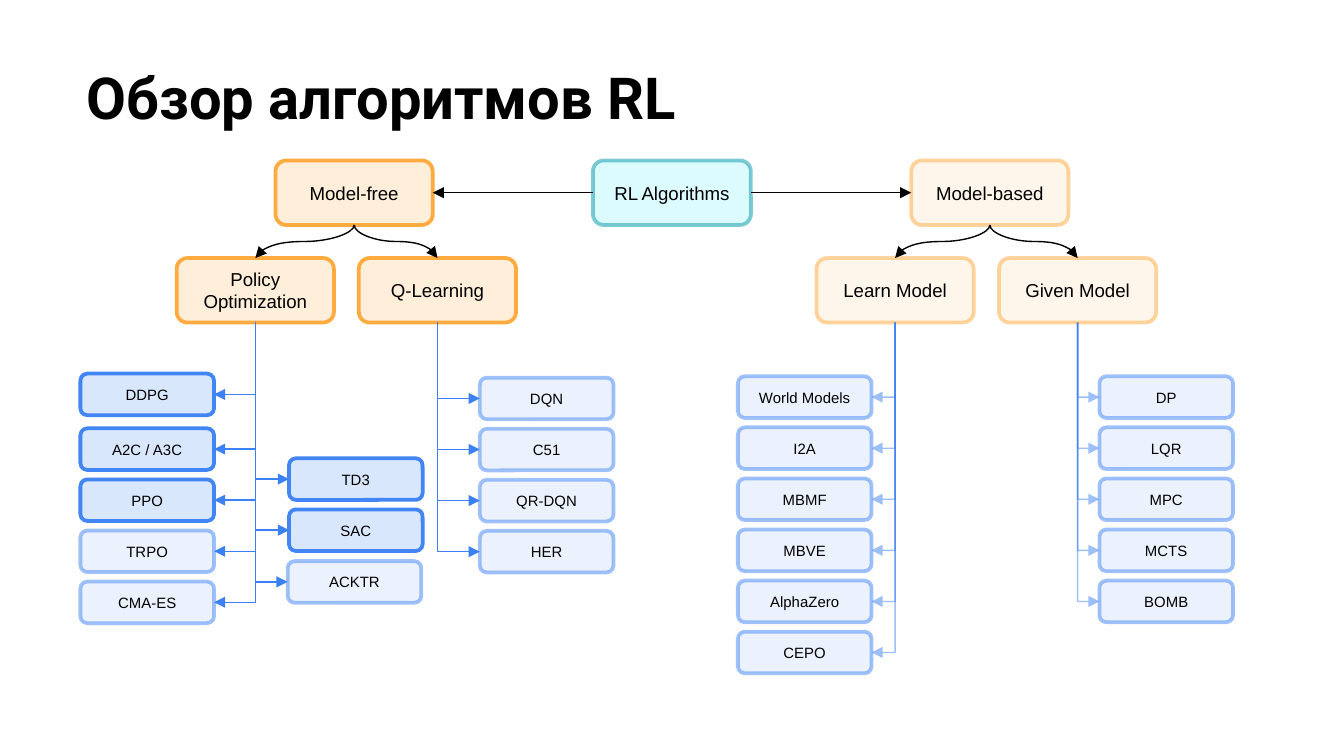
from dataclasses import dataclass

from lxml.etree import SubElement
from pptx import Presentation
from pptx.dml.color import RGBColor
from pptx.enum.dml import MSO_THEME_COLOR
from pptx.enum.shapes import MSO_CONNECTOR, MSO_SHAPE, PP_PLACEHOLDER
from pptx.enum.text import MSO_ANCHOR, MSO_AUTO_SIZE, PP_ALIGN
from pptx.oxml.ns import qn
from pptx.shapes.autoshape import Shape
from pptx.shapes.connector import Connector
from pptx.util import Inches, Pt

# Grid: 100 square cells across the slide
SLIDE_WIDTH, SLIDE_HEIGHT = Inches(10), Inches(5.625)
CELL = SLIDE_WIDTH / 100

BLACK = RGBColor(0x00, 0x00, 0x00)
AQUA, TEAL = RGBColor(0xBA, 0xF8, 0xFF), RGBColor(0x00, 0x97, 0xA7)
CREAM, ORANGE = RGBColor(0xFF, 0xEE, 0xD9), RGBColor(0xFF, 0xAB, 0x40)
PALE_BLUE, BLUE = RGBColor(0xD9, 0xE7, 0xFD), RGBColor(0x42, 0x85, 0xF4)
ARROW_BLUE = RGBColor(0x3C, 0x81, 0xF3)

# Connection sites of a rounded rectangle
TOP, LEFT, BOTTOM, RIGHT = range(4)


@dataclass(frozen=True)
class BoxStyle:
    fill: RGBColor
    border: RGBColor
    width: float
    height: float
    size: int


@dataclass(frozen=True)
class Branch:
    """A column of algorithms hanging on one side of a family box."""
    family: str
    left: float
    top: float
    names: tuple[str, ...]
    strong: int = 0
    faded_arrows: bool = False


ROOT = BoxStyle(AQUA, TEAL, 11.75, 4.8, 10)
FAMILY = BoxStyle(CREAM, ORANGE, 11.7, 4.8, 10)
LEAF = BoxStyle(PALE_BLUE, BLUE, 9.95, 3.1, 8)

KIND_ROW, FAMILY_ROW, LEAF_PITCH = 11.94, 19.2, 3.8

# Kind of algorithm: column, faded, families with their columns
KINDS = {
    "Model-free": (20.5, False, {"Policy Optimization": 13.15, "Q-Learning": 26.7}),
    "Model-based": (67.8, True, {"Learn Model": 60.75, "Given Model": 74.33}),
}

BRANCHES = (
    Branch("Policy Optimization", 5.98, 27.8, ("DDPG",), strong=1),
    Branch("Policy Optimization", 5.98, 31.87, ("A2C / A3C", "PPO", "TRPO", "CMA-ES"), strong=2),
    Branch("Policy Optimization", 21.5, 34.1, ("TD3", "SAC"), strong=2),
    Branch("Policy Optimization", 21.4, 41.75, ("ACKTR",)),
    Branch("Q-Learning", 35.7, 28.1, ("DQN", "C51", "QR-DQN", "HER")),
    Branch("Learn Model", 54.9, 28,
           ("World Models", "I2A", "MBMF", "MBVE", "AlphaZero", "CEPO"), faded_arrows=True),
    Branch("Given Model", 81.8, 28, ("DP", "LQR", "MPC", "MCTS", "BOMB"), faded_arrows=True),
)


def cells(count: float) -> int:
    return round(count * CELL)


def apply(target: object, formats: dict) -> None:
    for name, value in formats.items():
        setattr(target, name, value)


def fade(properties) -> None:
    """Make every solid colour inside a shape's properties half transparent."""
    for colour in properties.iter(qn("a:srgbClr")):
        SubElement(colour, qn("a:alpha"), val="50000")


def fit_template(deck, layout) -> None:
    """Keep one layout, and only placeholders that fit the slide's height."""
    for other in list(deck.slide_layouts):
        if other.name != layout.name:
            deck.slide_layouts.remove(other)
    for template in (layout, deck.slide_master):
        for holder in list(template.placeholders):
            kind = holder.placeholder_format.type
            if kind == PP_PLACEHOLDER.BODY:
                holder.height = SLIDE_HEIGHT - holder.top - cells(3)
            elif kind != PP_PLACEHOLDER.TITLE:
                holder._element.getparent().remove(holder._element)


def add_box(slide, text: str, left: float, top: float, style: BoxStyle, faded: bool) -> Shape:
    box = slide.shapes.add_shape(MSO_SHAPE.ROUNDED_RECTANGLE, cells(left), cells(top),
                                 cells(style.width), cells(style.height))
    box.shadow.inherit = False
    box.fill.solid()
    box.fill.fore_color.rgb = style.fill
    box.line.color.rgb = style.border
    box.line.width = Pt(2)
    if faded:
        fade(box._element.spPr)
    apply(box.text_frame, {"word_wrap": True, "vertical_anchor": MSO_ANCHOR.MIDDLE})
    para = box.text_frame.paragraphs[0]
    para.alignment = PP_ALIGN.CENTER
    span = para.add_run()
    span.text = text
    apply(span.font, {"name": "Arial", "size": Pt(style.size)})
    span.font.color.rgb = BLACK
    return box


def add_arrow(slide, start: Shape, start_site: int, end: Shape, end_site: int,
              colour: RGBColor, faded: bool = False) -> Connector:
    arrow = slide.shapes.add_connector(MSO_CONNECTOR.STRAIGHT, 0, 0, 0, 0)
    arrow.begin_connect(start, start_site)
    arrow.end_connect(end, end_site)
    arrow.line.color.rgb = colour
    arrow.line.width = Pt(0.75)
    properties = arrow._element.spPr
    SubElement(arrow.line._get_or_add_ln(), qn("a:tailEnd"), type="triangle")
    SubElement(properties, qn("a:effectLst"))
    if faded:
        fade(properties)
    return arrow


def route_down(arrow: Connector, preset: str) -> None:
    """Turn a straight arrow into one that leaves downwards, then goes sideways."""
    across, down = arrow.end_x - arrow.begin_x, arrow.end_y - arrow.begin_y
    centre_x = (arrow.begin_x + arrow.end_x) // 2
    centre_y = (arrow.begin_y + arrow.end_y) // 2
    properties = arrow._element.spPr
    frame = properties.find(qn("a:xfrm"))
    for flip in ("flipH", "flipV"):
        frame.attrib.pop(flip, None)
    frame.set("rot", str((270 if across > 0 else 90) * 60000))
    if across > 0:
        frame.set("flipH", "1")
    apply(arrow, {"left": centre_x - down // 2, "top": centre_y - abs(across) // 2,
                  "width": down, "height": abs(across)})
    properties.find(qn("a:prstGeom")).set("prst", preset)


def add_title(slide, text: str) -> None:
    title = slide.shapes.title
    apply(title, {"left": cells(5.45), "top": cells(3.6),
                  "width": cells(93.2), "height": cells(12)})
    margins = dict.fromkeys(("margin_left", "margin_top", "margin_right", "margin_bottom"),
                            cells(1))
    apply(title.text_frame, {**margins, "word_wrap": True, "auto_size": MSO_AUTO_SIZE.NONE,
                             "vertical_anchor": MSO_ANCHOR.TOP})
    para = title.text_frame.paragraphs[0]
    para.alignment = PP_ALIGN.LEFT
    span = para.add_run()
    span.text = text
    apply(span.font, {"name": "Roboto", "size": Pt(31), "bold": True})
    span.font.color.rgb = BLACK


def add_branch(slide, branch: Branch, family: Shape) -> None:
    for row, name in enumerate(branch.names):
        leaf = add_box(slide, name, branch.left, branch.top + row * LEAF_PITCH,
                       LEAF, faded=row >= branch.strong)
        side = RIGHT if leaf.left < family.left else LEFT
        arrow = add_arrow(slide, family, BOTTOM, leaf, side, ARROW_BLUE, branch.faded_arrows)
        route_down(arrow, "bentConnector2")


def main() -> None:
    deck = Presentation()
    apply(deck, {"slide_width": SLIDE_WIDTH, "slide_height": SLIDE_HEIGHT})
    layout = deck.slide_layouts.get_by_name("Title Only")
    fit_template(deck, layout)
    page = deck.slides.add_slide(layout)
    page.background.fill.solid()
    page.background.fill.fore_color.theme_color = MSO_THEME_COLOR.BACKGROUND_1
    add_title(page, "Обзор алгоритмов RL")

    # Root, kinds and families
    root = add_box(page, "RL Algorithms", 44.12, KIND_ROW, ROOT, faded=True)
    families = {}
    for kind_name, (column, faded, members) in KINDS.items():
        kind = add_box(page, kind_name, column, KIND_ROW, FAMILY, faded)
        sides = (LEFT, RIGHT) if kind.left < root.left else (RIGHT, LEFT)
        add_arrow(page, root, sides[0], kind, sides[1], BLACK)
        for name, left in members.items():
            families[name] = add_box(page, name, left, FAMILY_ROW, FAMILY, faded)
            arrow = add_arrow(page, kind, BOTTOM, families[name], TOP, BLACK)
            route_down(arrow, "curvedConnector3")

    # Algorithms
    for branch in BRANCHES:
        add_branch(page, branch, families[branch.family])
    deck.save("out.pptx")


if __name__ == "__main__":
    main()
